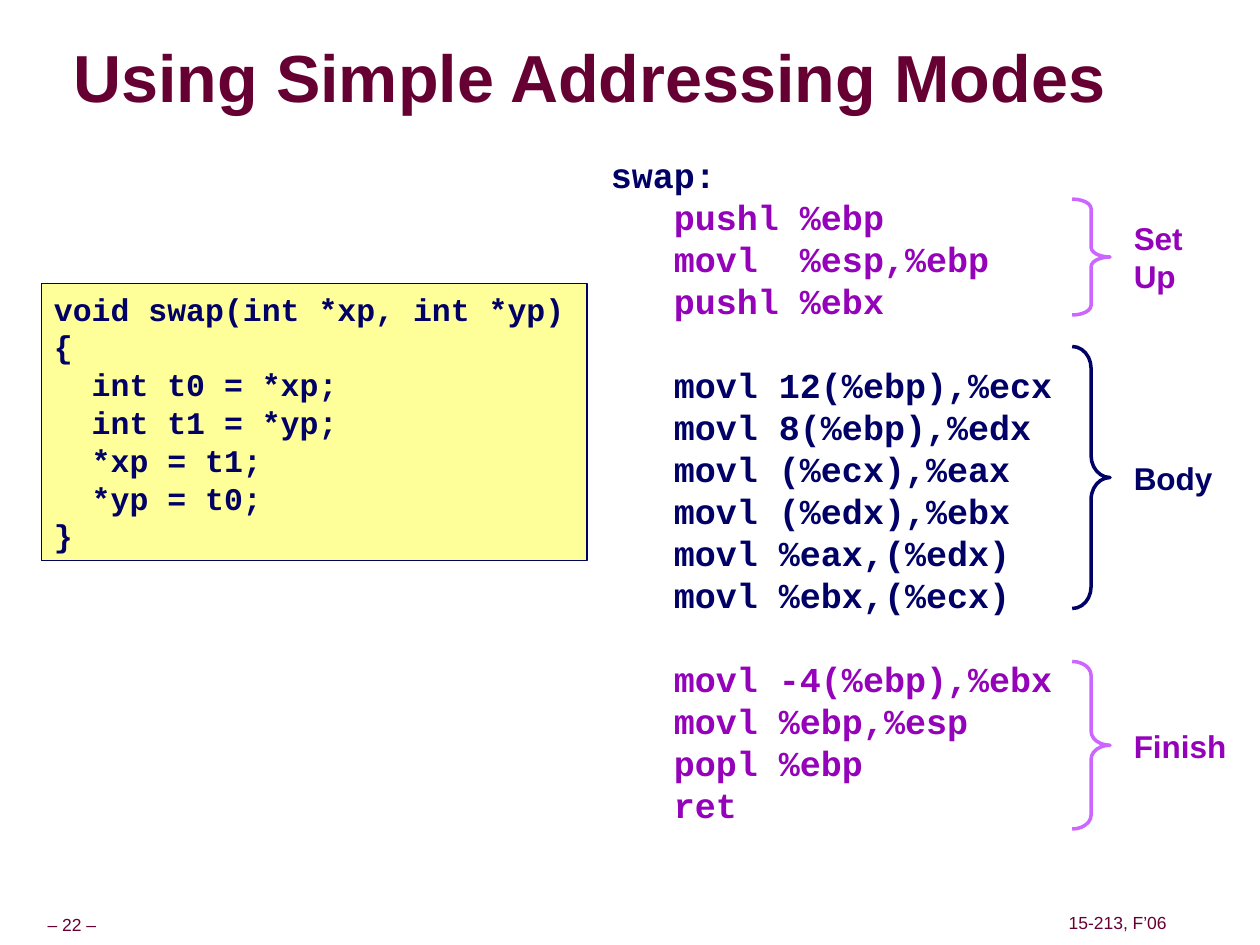
from dataclasses import dataclass

from lxml import etree
from pptx import Presentation
from pptx.dml.color import RGBColor
from pptx.enum.shapes import MSO_SHAPE
from pptx.enum.text import MSO_ANCHOR, MSO_AUTO_SIZE, PP_ALIGN
from pptx.oxml.ns import qn
from pptx.util import Inches, Pt

RECT, BRACE = MSO_SHAPE.RECTANGLE, MSO_SHAPE.RIGHT_BRACE
TOP, MIDDLE = MSO_ANCHOR.TOP, MSO_ANCHOR.MIDDLE
LEFT, CENTER = PP_ALIGN.LEFT, PP_ALIGN.CENTER
NO_FIT = MSO_AUTO_SIZE.NONE

COLORS = {
    "maroon": "660033",
    "navy": "000066",
    "purple": "9403B9",
    "lilac": "CC66FF",
    "yellow": "FFFF99",
}
SANS, MONO = "Arial", "Courier New"
LINE_FACTOR = 1.2
CODE_INDENT = 0.5


@dataclass
class Section:
    """A group of assembly lines with its brace and label."""
    code: list[str]
    label: list[str]
    color: str
    brace_color: str
    brace_top: float
    brace_height: float
    label_top: float


C_CODE = [
    "void swap(int *xp, int *yp)",
    "{",
    "  int t0 = *xp;",
    "  int t1 = *yp;",
    "  *xp = t1;",
    "  *yp = t0;",
    "}",
]
SECTIONS = [
    Section(["pushl %ebp", "movl  %esp,%ebp", "pushl %ebx"],
            ["Set", "Up"], "purple", "lilac", 1.58, 0.92, 1.69),
    Section(["movl 12(%ebp),%ecx", "movl 8(%ebp),%edx", "movl (%ecx),%eax",
             "movl (%edx),%ebx", "movl %eax,(%edx)", "movl %ebx,(%ecx)"],
            ["Body"], "navy", "navy", 2.75, 2.08, 3.59),
    Section(["movl -4(%ebp),%ebx", "movl %ebp,%esp", "popl %ebp", "ret"],
            ["Finish"], "purple", "lilac", 5.25, 1.33, 5.72),
]


def rgb(name: str) -> RGBColor:
    return RGBColor.from_string(COLORS[name])


def set_font(p, name: str, size: float, color: str, bold: bool = True) -> None:
    f = p.font
    f.name, f.size, f.bold = name, Pt(size), bold
    f.color.rgb = rgb(color)


def setup_frame(tf, wrap: bool, anchor, x_inset: float, y_inset: float) -> None:
    tf.auto_size = NO_FIT
    tf.word_wrap = wrap
    tf.vertical_anchor = anchor
    tf.margin_left = tf.margin_right = Inches(x_inset)
    tf.margin_top = tf.margin_bottom = Inches(y_inset)


def add_line(tf, text: str, font: str, size: float, color: str):
    """Fill the first paragraph if it is empty, otherwise append one."""
    p = tf.paragraphs[0]
    if p.runs:
        p = tf.add_paragraph()
    p.add_run().text = text
    p.alignment = LEFT
    p.line_spacing = Pt(size * LINE_FACTOR)
    set_font(p, font, size, color)
    return p


def add_tab_stop(p, position: float) -> None:
    tabs = etree.Element(qn("a:tabLst"))
    etree.SubElement(tabs, qn("a:tab"), pos=str(Inches(position)), algn="l")
    p.font._element.addprevious(tabs)


def add_box(slide, left: float, top: float, width: float, height: float):
    return slide.shapes.add_textbox(Inches(left), Inches(top), Inches(width), Inches(height))


def add_title(slide, text: str) -> None:
    s = slide.shapes.title
    s.left, s.top, s.width, s.height = (Inches(v) for v in (0.58, 0.33, 8.37, 0.63))
    setup_frame(s.text_frame, True, MIDDLE, 0, 0)
    p = s.text_frame.paragraphs[0]
    r = p.add_run()
    r.text = text
    p.alignment, p.line_spacing = LEFT, 0.87
    set_font(p, SANS, 38, "maroon")
    effects = etree.SubElement(r.font._element, qn("a:effectLst"))
    shadow = etree.SubElement(effects, qn("a:outerShdw"), dist="38100", dir="2700000")
    etree.SubElement(shadow, qn("a:srgbClr"), val="999999")


def add_footer(slide, text: str, left: float, top: float, width: float) -> None:
    tf = add_box(slide, left, top, width, 0.25).text_frame
    setup_frame(tf, False, MIDDLE, 0.05, 0.05)
    p = tf.paragraphs[0]
    p.add_run().text = text
    p.alignment, p.line_spacing = CENTER, 0.9
    set_font(p, SANS, 10, "maroon", bold=False)


def add_c_code(slide) -> None:
    s = slide.shapes.add_shape(RECT, Inches(0.33), Inches(2.25), Inches(4.33), Inches(2.2))
    s.shadow.inherit = False
    s.fill.solid()
    s.fill.fore_color.rgb = rgb("yellow")
    s.line.color.rgb, s.line.width = rgb("navy"), Pt(1)
    setup_frame(s.text_frame, True, TOP, 0.1, 0.05)
    for text in C_CODE:
        add_line(s.text_frame, text, MONO, 18, "navy")


def add_assembly(slide) -> None:
    size = 20
    tf = add_box(slide, 4.75, 1.17, 4, 5.43).text_frame
    setup_frame(tf, True, TOP, 0.1, 0.05)
    add_line(tf, "swap:", MONO, size, "navy")
    for i, section in enumerate(SECTIONS):
        for j, text in enumerate(section.code):
            p = add_line(tf, "\t" + text, MONO, size, section.color)
            add_tab_stop(p, CODE_INDENT)
            if i and not j:
                p.space_before = Pt(size * LINE_FACTOR)


def add_brace(slide, section: Section) -> None:
    width = 0.3
    s = slide.shapes.add_shape(BRACE, Inches(8.51), Inches(section.brace_top),
                               Inches(width), Inches(section.brace_height))
    s.shadow.inherit = False
    s.fill.background()
    s.line.color.rgb, s.line.width = rgb(section.brace_color), Pt(2)
    s.adjustments[0] = section.brace_height / 12 / width


def add_label(slide, section: Section) -> None:
    height = 0.1 + 0.3 * len(section.label)
    tf = add_box(slide, 8.9, section.label_top, 0.93, height).text_frame
    setup_frame(tf, False, TOP, 0.1, 0.05)
    for text in section.label:
        add_line(tf, text, SANS, 18, section.color)


def main() -> None:
    prs = Presentation()
    prs.slide_width, prs.slide_height = Inches(10), Inches(7.5)
    slide = prs.slides.add_slide(prs.slide_layouts[5])
    add_footer(slide, "– 22 –", 0.09, 7.22, 0.96)
    add_footer(slide, "15-213, F’06", 8.43, 7.21, 0.88)
    add_title(slide, "Using Simple Addressing Modes")
    add_c_code(slide)
    add_assembly(slide)
    for section in SECTIONS:
        add_brace(slide, section)
        add_label(slide, section)
    prs.save("out.pptx")


if __name__ == "__main__":
    main()
